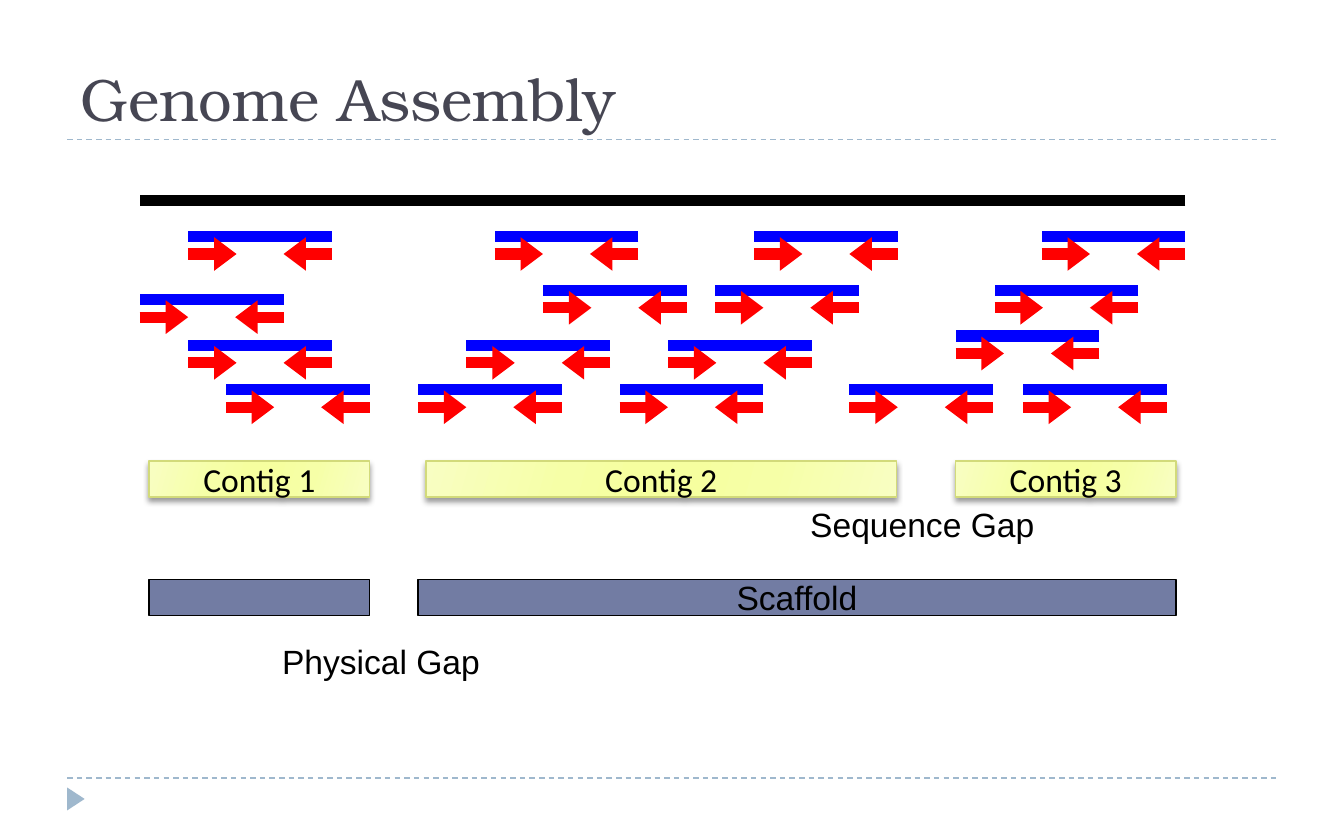
from typing import NamedTuple, Optional

from lxml.etree import SubElement
from pptx import Presentation
from pptx.dml.color import RGBColor
from pptx.enum.dml import MSO_LINE
from pptx.enum.shapes import MSO_CONNECTOR, MSO_SHAPE
from pptx.enum.text import MSO_ANCHOR, PP_ALIGN
from pptx.oxml.ns import qn
from pptx.util import Inches, Pt

READ_WIDTH = 1.07
ARROW_LENGTH = 0.36
ARROW_DROP = 0.13
BAR_HEIGHT = 0.27
RULE_COLOR = "9FB8CD"
CONTIG_STOPS = [(0, "F8FEC2"), (30, "F6FFA7"), (45, "F6FF9F"),
                (55, "F6FF9F"), (73, "F6FFA7"), (100, "F8FEC2")]


class ReadPair(NamedTuple):
    left: float
    top: float


class Bar(NamedTuple):
    left: float
    top: float
    width: float
    label: str = ""


class Label(NamedTuple):
    left: float
    top: float
    width: float
    text: str


READ_PAIRS = [
    ReadPair(7.75, 1.76), ReadPair(7.4, 2.16), ReadPair(7.11, 2.5), ReadPair(7.61, 2.9),
    ReadPair(5.61, 1.76), ReadPair(5.32, 2.16), ReadPair(4.97, 2.57), ReadPair(6.32, 2.9),
    ReadPair(4.61, 2.9), ReadPair(4.04, 2.16), ReadPair(3.68, 1.76), ReadPair(3.47, 2.57),
    ReadPair(3.11, 2.9), ReadPair(1.68, 2.9), ReadPair(1.4, 2.57), ReadPair(1.04, 2.23),
    ReadPair(1.4, 1.76),
]
CONTIGS = [Bar(1.11, 3.43, 1.64, "Contig 1"), Bar(3.17, 3.43, 3.5, "Contig 2"),
           Bar(7.11, 3.43, 1.64, "Contig 3")]
SCAFFOLDS = [Bar(1.11, 4.31, 1.64), Bar(3.11, 4.31, 5.64, "Scaffold")]
GAPS = [Label(2, 4.72, 1.69, "Physical Gap"), Label(5.93, 3.7, 1.89, "Sequence Gap")]


def rgb(value: str) -> RGBColor:
    return RGBColor.from_string(value)


def write(s, text: str, *, font: str = "Arial", size: float = 18, color: str = "000000",
          align=PP_ALIGN.LEFT, anchor=MSO_ANCHOR.TOP, wrap: bool = False) -> None:
    tf = s.text_frame
    tf.word_wrap = wrap
    tf.vertical_anchor = anchor
    p = tf.paragraphs[0]
    p.alignment = align
    r = p.add_run()
    r.text = text
    r.font.name = font
    r.font.size = Pt(size)
    r.font.color.rgb = rgb(color)


def draw_line(shapes, x1: float, x2: float, y: float, color: str, width: float,
              dash: Optional[MSO_LINE] = None, arrow: bool = False) -> None:
    c = shapes.add_connector(MSO_CONNECTOR.STRAIGHT, Inches(x1), Inches(y), Inches(x2), Inches(y))
    c.line.color.rgb = rgb(color)
    c.line.width = Pt(width)
    if dash is not None:
        c.line.dash_style = dash
    if arrow:
        SubElement(c.line._get_or_add_ln(), qn("a:tailEnd"), type="triangle", w="med", len="sm")
    SubElement(c._element.spPr, qn("a:effectLst"))


def draw_read_pair(shapes, pair: ReadPair) -> None:
    group = shapes.add_group_shape().shapes
    right = pair.left + READ_WIDTH
    y = pair.top + ARROW_DROP
    draw_line(group, right, pair.left, pair.top, "0000FF", 6)
    draw_line(group, right, right - ARROW_LENGTH, y, "FF0000", 6, arrow=True)
    draw_line(group, pair.left, pair.left + ARROW_LENGTH, y, "FF0000", 6, arrow=True)


def draw_bar(shapes, bar: Bar, *, line: str, font: str):
    s = shapes.add_shape(MSO_SHAPE.RECTANGLE, Inches(bar.left), Inches(bar.top),
                         Inches(bar.width), Inches(BAR_HEIGHT))
    s.shadow.inherit = False
    s.line.color.rgb = rgb(line)
    s.line.width = Pt(0.75)
    if bar.label:
        write(s, bar.label, font=font, align=PP_ALIGN.CENTER, anchor=MSO_ANCHOR.MIDDLE)
    return s


def draw_scaffold(shapes, bar: Bar) -> None:
    s = draw_bar(shapes, bar, line="000000", font="Arial")
    s.fill.solid()
    s.fill.fore_color.rgb = rgb("727CA3")


def draw_contig(shapes, bar: Bar) -> None:
    s = draw_bar(shapes, bar, line="D2DA7A", font="Calibri")
    s.fill.gradient()
    s.fill.gradient_angle = 344
    spPr = s._element.spPr
    stops = spPr.find(f".//{qn('a:gsLst')}")
    for stop in list(stops):
        stops.remove(stop)
    for position, color in CONTIG_STOPS:
        stop = SubElement(stops, qn("a:gs"), pos=str(position * 1000))
        SubElement(stop, qn("a:srgbClr"), val=color)
    shadow = SubElement(spPr.find(qn("a:effectLst")), qn("a:outerShdw"), blurRad=str(Pt(3)),
                        dist=str(Pt(2)), dir="5400000", rotWithShape="0")
    shade = SubElement(shadow, qn("a:srgbClr"), val="000000")
    SubElement(shade, qn("a:alpha"), val="40000")


def draw_frame(shapes) -> None:
    for y in (5.79, 1.04):
        draw_line(shapes, 0.5, 9.5, y, RULE_COLOR, 0.75, dash=MSO_LINE.DASH)
    s = shapes.add_shape(MSO_SHAPE.ISOSCELES_TRIANGLE, Inches(0.48), Inches(5.88),
                         Inches(0.17), Inches(0.13))
    s.rotation = 90
    s.shadow.inherit = False
    s.fill.solid()
    s.fill.fore_color.rgb = rgb(RULE_COLOR)
    s.line.fill.background()


def main() -> None:
    prs = Presentation()
    prs.slide_width = Inches(10)
    prs.slide_height = Inches(6.25)
    shapes = prs.slides.add_slide(prs.slide_layouts[6]).shapes

    draw_frame(shapes)
    draw_line(shapes, 8.82, 1.04, 1.49, "000000", 6)
    for pair in READ_PAIRS:
        draw_read_pair(shapes, pair)
    for bar in CONTIGS:
        draw_contig(shapes, bar)
    for bar in SCAFFOLDS:
        draw_scaffold(shapes, bar)
    for gap in GAPS:
        s = shapes.add_textbox(Inches(gap.left), Inches(gap.top), Inches(gap.width), Inches(0.4))
        write(s, gap.text)

    title = shapes.add_textbox(Inches(0.5), Inches(0.21), Inches(9), Inches(0.83))
    write(title, "Genome Assembly", font="TeX Gyre Bonum", size=32, color="464653",
          anchor=MSO_ANCHOR.BOTTOM, wrap=True)
    prs.save("out.pptx")


if __name__ == "__main__":
    main()
